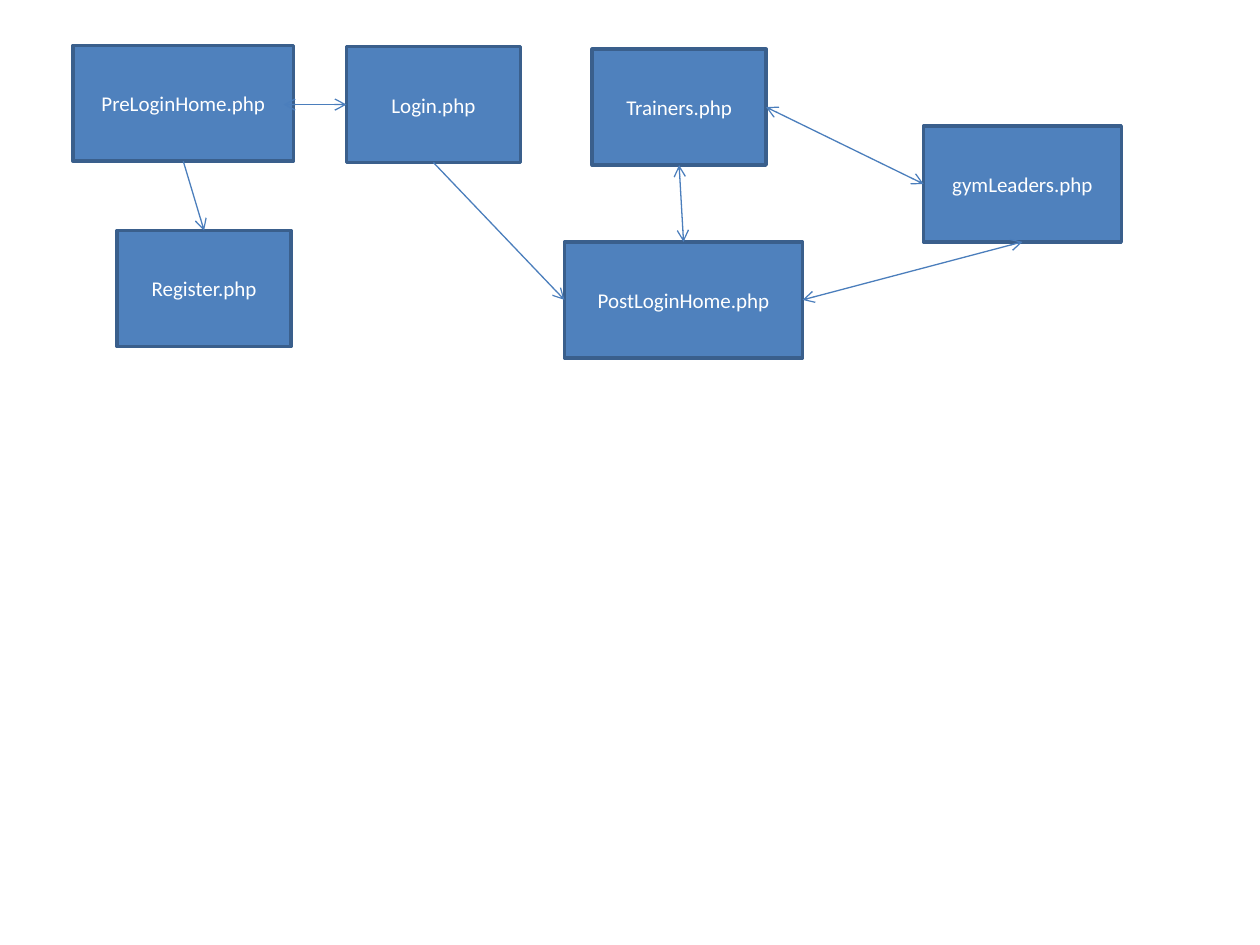
from lxml import etree
from pptx import Presentation
from pptx import util as u
from pptx.dml.color import RGBColor
from pptx.enum import shapes, text
from pptx.oxml.ns import qn

COLORS = {"fill": "4F81BD", "border": "3A5F8C", "arrow": "4B7EBC", "text": "FFFFFF"}
TOP, LEFT, BOTTOM, RIGHT = range(4)
COLS, ROWS = 100, 75
BOX_ROWS = 9.2


class Diagram:
    font, size = "Calibri", 12
    border_width, arrow_width = 2, 0.75

    def __init__(self, prs):
        self.s = prs.slides.add_slide(prs.slide_layouts[6])
        self.col = prs.slide_width / COLS
        self.row = prs.slide_height / ROWS

    def color(self, name):
        return RGBColor.from_string(COLORS[name])

    def x(self, cols):
        return round(cols * self.col)

    def y(self, rows):
        return round(rows * self.row)

    def box(self, label, left, top, width):
        sp = self.s.shapes.add_shape(
            shapes.MSO_SHAPE.RECTANGLE,
            self.x(left), self.y(top), self.x(width), self.y(BOX_ROWS))
        sp.shadow.inherit = False
        sp.fill.solid()
        sp.fill.fore_color.rgb = self.color("fill")
        sp.line.color.rgb = self.color("border")
        sp.line.width = u.Pt(self.border_width)
        tf = sp.text_frame
        tf.text = label
        tf.vertical_anchor = text.MSO_ANCHOR.MIDDLE
        p = tf.paragraphs[0]
        p.alignment = text.PP_ALIGN.CENTER
        r = p.runs[0]
        r.font.name = self.font
        r.font.size = u.Pt(self.size)
        r.font.color.rgb = self.color("text")
        return sp

    def arrow(self, start, start_side, end, end_side, ends, inset=0):
        cxn = self.s.shapes.add_connector(shapes.MSO_CONNECTOR.STRAIGHT, 0, 0, 0, 0)
        cxn.end_connect(end, end_side)
        if inset:
            cxn.begin_x = start.left + start.width - self.x(inset)
            cxn.begin_y = cxn.end_y
        else:
            cxn.begin_connect(start, start_side)
        cxn.line.color.rgb = self.color("arrow")
        cxn.line.width = u.Pt(self.arrow_width)
        ln = cxn.line._get_or_add_ln()
        for end_tag in ends:
            etree.SubElement(ln, qn(end_tag)).set("type", "arrow")
        etree.SubElement(cxn._element.spPr, qn("a:effectLst"))


prs = Presentation()
prs.slide_width, prs.slide_height = u.Inches(10), u.Inches(7.5)
d = Diagram(prs)

pre_login = d.box("PreLoginHome.php", 5.8, 3.6, 17.5)
register = d.box("Register.php", 9.3, 18.3, 13.8)
trainers = d.box("Trainers.php", 47, 3.9, 13.8)
login = d.box("Login.php", 27.5, 3.7, 13.8)
gym_leaders = d.box("gymLeaders.php", 73.3, 10, 15.7)
post_login = d.box("PostLoginHome.php", 44.8, 19.2, 18.9)

one_way = ["a:tailEnd"]
two_way = ["a:headEnd", "a:tailEnd"]
d.arrow(pre_login, BOTTOM, register, TOP, one_way)
d.arrow(pre_login, RIGHT, login, LEFT, two_way, inset=0.8)
d.arrow(trainers, RIGHT, gym_leaders, LEFT, two_way)
d.arrow(login, BOTTOM, post_login, LEFT, one_way)
d.arrow(post_login, TOP, trainers, BOTTOM, two_way)
d.arrow(post_login, RIGHT, gym_leaders, BOTTOM, two_way)

prs.save("out.pptx")
